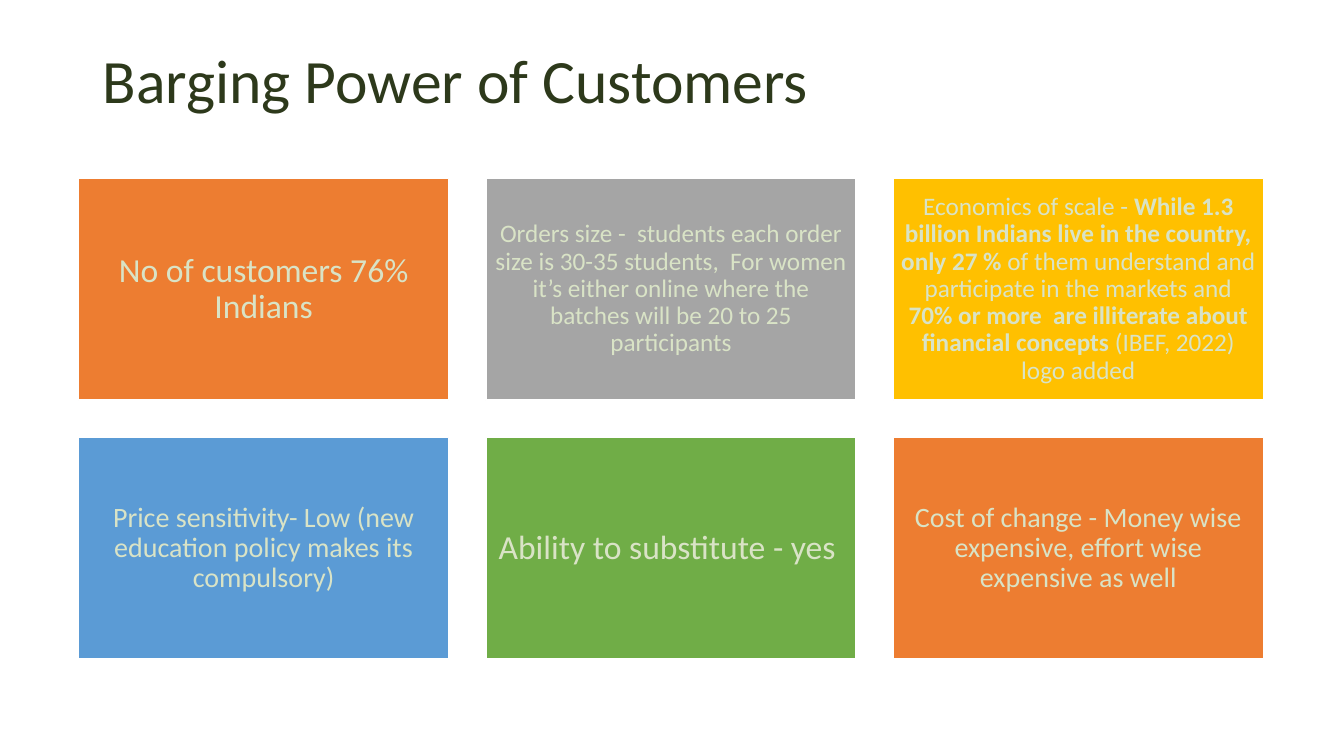
from dataclasses import dataclass

from pptx import Presentation
from pptx.dml.color import RGBColor
from pptx.enum.shapes import MSO_SHAPE
from pptx.enum.text import MSO_ANCHOR, PP_ALIGN
from pptx.util import Inches, Pt

RECTANGLE = MSO_SHAPE.RECTANGLE
TOP, MIDDLE = MSO_ANCHOR.TOP, MSO_ANCHOR.MIDDLE
LEFT, CENTER = PP_ALIGN.LEFT, PP_ALIGN.CENTER


@dataclass(frozen=True)
class Theme:
    font: str = "Calibri"
    title_color: str = "2D391B"
    text_color: str = "D9E3C6"
    border: str = "FFFFFF"
    orange: str = "ED7D31"
    gray: str = "A5A5A5"
    yellow: str = "FFC000"
    blue: str = "5B9BD5"
    green: str = "70AD47"
    title_size: int = 44
    large: int = 24
    medium: int = 20
    small: int = 18


THEME = Theme()
TITLE = "Barging Power of Customers"

# Fill, text size, and runs as (text, bold)
CARDS = [
    (THEME.orange, THEME.large, [("No of customers 76% Indians", False)]),
    (THEME.gray, THEME.small, [
        ("Orders size -  students each order size is 30-35 students,  For women "
         "it’s either online where the batches will be 20 to 25 participants", False),
    ]),
    (THEME.yellow, THEME.small, [
        ("Economics of scale - ", False),
        ("While 1.3 billion Indians live in the country, only 27 %", True),
        (" of them understand and participate in the markets and ", False),
        ("70% or more  are illiterate about financial concepts", True),
        (" (IBEF, 2022) logo added", False),
    ]),
    (THEME.blue, THEME.medium, [
        ("Price sensitivity- Low (new education policy makes its compulsory)", False),
    ]),
    (THEME.green, THEME.large, [("Ability to substitute - yes ", False)]),
    (THEME.orange, THEME.medium, [
        ("Cost of change - Money wise expensive, effort wise expensive as well", False),
    ]),
]

COLUMNS = 3
GRID_LEFT, GRID_TOP = 0.78, 1.77
CARD_WIDTH, CARD_HEIGHT = 3.67, 2.2
GAP = 0.37
INSET_PER_POINT = 0.004


def set_attributes(target, values):
    for name, value in values.items():
        setattr(target, name, value)


def write_runs(shape, runs, size, color, alignment, anchor, inset):
    frame = shape.text_frame
    set_attributes(frame, {"word_wrap": True, "vertical_anchor": anchor})
    for side in ("left", "top", "right", "bottom"):
        setattr(frame, f"margin_{side}", Inches(inset))
    paragraph = frame.paragraphs[0]
    set_attributes(paragraph, {"alignment": alignment, "line_spacing": 0.9,
                               "space_before": Pt(0)})
    for text, bold in runs:
        run = paragraph.add_run()
        run.text = text
        set_attributes(run.font, {"name": THEME.font, "size": Pt(size), "bold": bold})
        run.font.color.rgb = RGBColor.from_string(color)


def add_title(slide):
    title = slide.shapes.title
    set_attributes(title, {"left": Inches(0.92), "top": Inches(0.4),
                           "width": Inches(11.5), "height": Inches(1.25)})
    write_runs(title, [(TITLE, False)], THEME.title_size, THEME.title_color,
               LEFT, TOP, 0.1)


def add_card(slide, index, fill, size, runs):
    row, column = divmod(index, COLUMNS)
    card = slide.shapes.add_shape(
        RECTANGLE,
        Inches(GRID_LEFT + column * (CARD_WIDTH + GAP)),
        Inches(GRID_TOP + row * (CARD_HEIGHT + GAP)),
        Inches(CARD_WIDTH), Inches(CARD_HEIGHT))
    card.shadow.inherit = False
    card.fill.solid()
    card.fill.fore_color.rgb = RGBColor.from_string(fill)
    card.line.color.rgb = RGBColor.from_string(THEME.border)
    card.line.width = Pt(1)
    write_runs(card, runs, size, THEME.text_color, CENTER, MIDDLE,
               size * INSET_PER_POINT)


def main():
    presentation = Presentation()
    set_attributes(presentation, {"slide_width": Inches(13.33),
                                  "slide_height": Inches(7.5)})
    title_only = presentation.slide_layouts.get_by_name("Title Only")
    slide = presentation.slides.add_slide(title_only)
    add_title(slide)
    for index, card in enumerate(CARDS):
        add_card(slide, index, *card)
    presentation.save("out.pptx")


if __name__ == "__main__":
    main()
